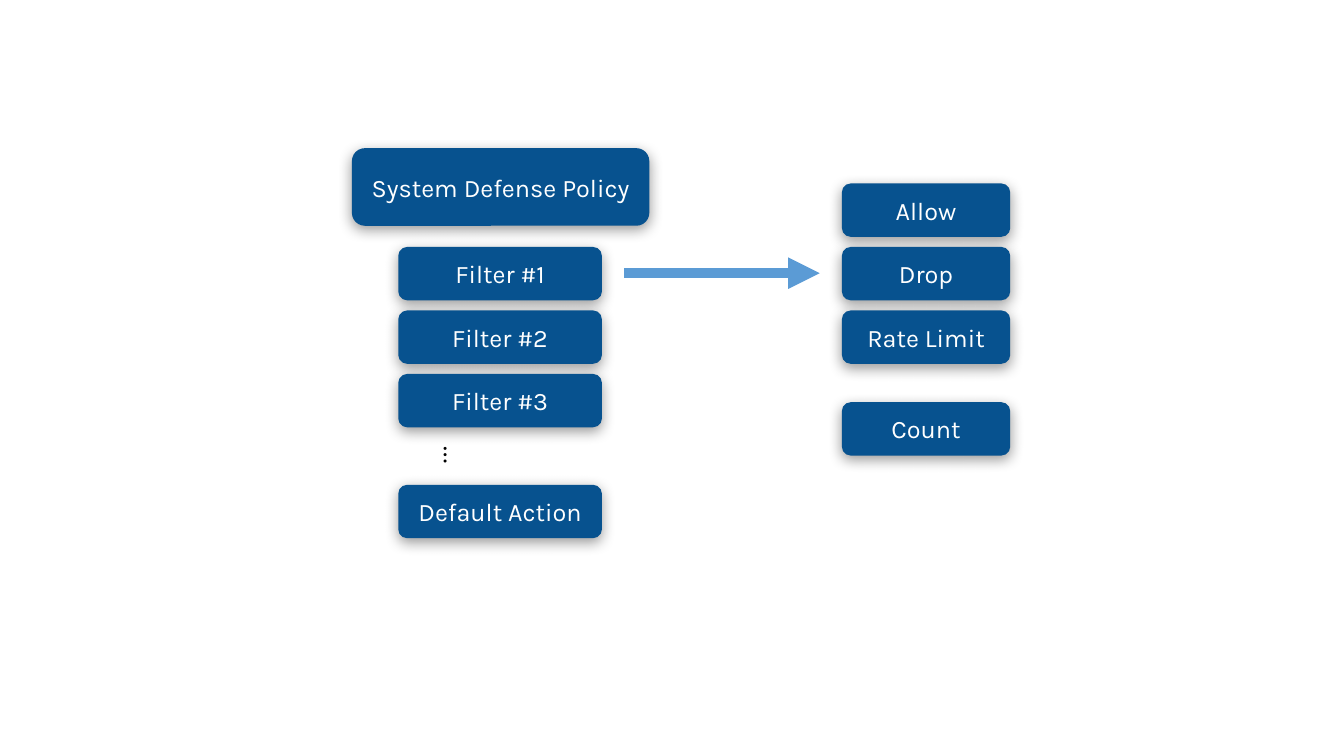
from lxml.etree import SubElement as Sub
from pptx import Presentation
from pptx.dml.color import RGBColor
from pptx.enum.shapes import MSO_CONNECTOR as Link, MSO_SHAPE as Shape
from pptx.enum.text import MSO_ANCHOR as Anchor, MSO_AUTO_SIZE as Fit, PP_ALIGN as Align
from pptx.oxml.ns import qn
from pptx.util import Inches, Pt

NAVY = RGBColor(0x07, 0x52, 0x8F)
BLUE = RGBColor(0x5B, 0x9B, 0xD5)
WHITE = RGBColor(0xFF, 0xFF, 0xFF)
BLACK = RGBColor(0, 0, 0)

HIGH = 0.53   # height of a small box
STEP = 0.63   # distance between stacked boxes


def style(para, font, color):
    para.font.name = font
    para.font.size = Pt(18)
    para.font.color.rgb = color


def shade(shape):
    """Give the shape a soft shadow below it."""
    shape.shadow.inherit = False
    effect = shape.element.spPr.find(qn("a:effectLst"))
    outer = Sub(effect, qn("a:outerShdw"), blurRad=str(Pt(10)), dist=str(Pt(3)),
                dir="5400000", algn="ctr", rotWithShape="0")
    color = Sub(outer, qn("a:srgbClr"), val=str(BLACK))
    Sub(color, qn("a:alpha"), val="40000")


def box(slide, text, left, top, width, height=HIGH):
    shape = slide.shapes.add_shape(Shape.ROUNDED_RECTANGLE, Inches(left), Inches(top),
                                   Inches(width), Inches(height))
    shape.fill.solid()
    shape.fill.fore_color.rgb = NAVY
    shape.line.fill.background()
    shade(shape)
    frame = shape.text_frame
    frame.word_wrap = True
    frame.vertical_anchor = Anchor.MIDDLE
    frame.margin_left = frame.margin_right = Inches(0.07)
    frame.margin_top = frame.margin_bottom = Inches(0.04)
    para = frame.paragraphs[0]
    para.text = text
    para.alignment = Align.CENTER
    style(para, "Karla", WHITE)


def stack(slide, names, left, top, width):
    for i, name in enumerate(names):
        box(slide, name, left, top + i * STEP, width)


def dots(slide, left, top):
    label = slide.shapes.add_textbox(Inches(left), Inches(top), Inches(0.38), Inches(0.4))
    label.rotation = 90
    frame = label.text_frame
    frame.word_wrap = False
    frame.auto_size = Fit.SHAPE_TO_FIT_TEXT
    para = frame.paragraphs[0]
    para.text = "…"
    style(para, "Calibri", BLACK)


def policy(slide, left, top, width):
    """Policy heading with its filters and default action."""
    box(slide, "System Defense Policy", left, top, width, 0.77)
    inner, span = left + 0.46, 2.02
    stack(slide, ["Filter #1", "Filter #2", "Filter #3"], inner, top + 0.98, span)
    box(slide, "Default Action", inner, top + 3.34, span)
    dots(slide, inner + 0.36, top + 2.85)


def arrow(slide, left, top, width):
    line = slide.shapes.add_connector(Link.STRAIGHT, Inches(left), Inches(top),
                                      Inches(left + width), Inches(top))
    line.line.color.rgb = BLUE
    line.line.width = Pt(7.5)
    props = line.element.spPr
    Sub(props.find(qn("a:ln")), qn("a:tailEnd"), type="triangle")
    Sub(props, qn("a:effectLst"))


def actions(slide, left, top, width):
    """Actions a filter can take, with counting set apart."""
    stack(slide, ["Allow", "Drop", "Rate Limit"], left, top, width)
    box(slide, "Count", left, top + 2.17, width)


def main():
    deck = Presentation()
    deck.slide_width, deck.slide_height = Inches(13.33), Inches(7.5)
    slide = deck.slides.add_slide(deck.slide_layouts[6])
    policy(slide, 3.49, 1.47, 2.95)
    arrow(slide, 6.19, 2.71, 1.94)
    actions(slide, 8.35, 1.82, 1.67)
    deck.save("out.pptx")


if __name__ == "__main__":
    main()
